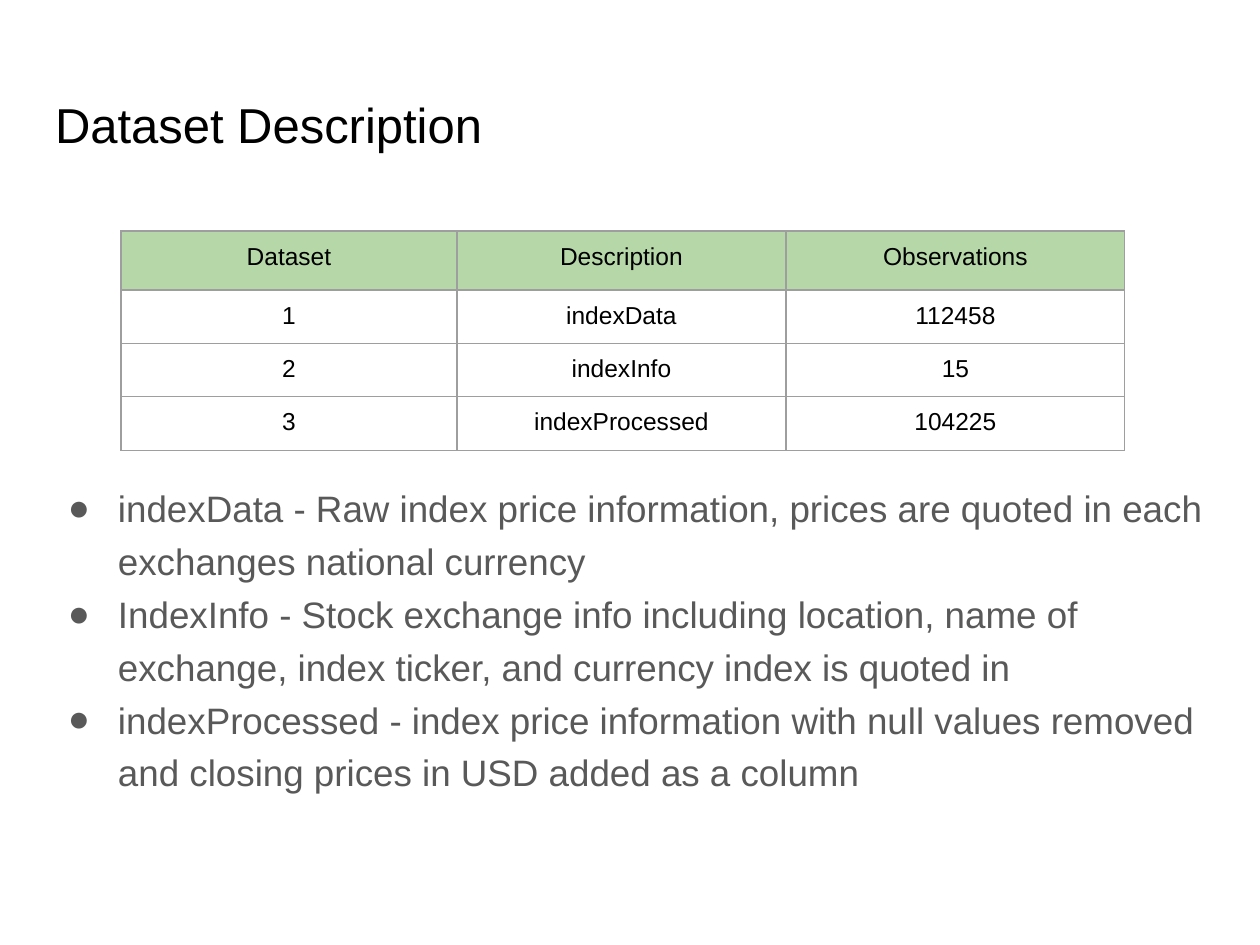
from lxml.etree import SubElement
from pptx import Presentation
from pptx.dml.color import RGBColor
from pptx.enum.text import MSO_ANCHOR, PP_ALIGN
from pptx.oxml.ns import qn
from pptx.util import Pt

TITLE = "Dataset Description"
ROWS = [
    ("Dataset", "Description", "Observations"),
    ("1", "indexData", "112458"),
    ("2", "indexInfo", "15"),
    ("3", "indexProcessed", "104225"),
]
BULLETS = [
    "indexData - Raw index price information, prices are quoted in each exchanges national currency",
    "IndexInfo - Stock exchange info including location, name of exchange, index ticker, and currency index is quoted in",
    "indexProcessed - index price information with null values removed and closing prices in USD added as a column",
]
COL_WIDTHS = (336, 329, 339)
ROW_HEIGHTS = (59, 53, 53, 53)
INSET = 12
EMU = 914400 // 126


def px(n):
    return n * 914400 // 126


def color(value):
    return RGBColor.from_string(value)


def write(p, text, size, ink, **fmt):
    r = p.add_run()
    r.text = text
    r.font.color.rgb = color(ink)
    for name, value in {"name": "Arial", "size": Pt(size)}.items():
        setattr(r.font, name, value)
    for name, value in fmt.items():
        setattr(p, name, value)


def pad(obj):
    for side in ("left", "top", "right", "bottom"):
        setattr(obj, "margin_" + side, px(INSET))


def place(sp, *box):
    for name, value in zip(("left", "top", "width", "height"), box):
        setattr(sp, name, px(value))


def add_bullet(p):
    pPr = p._p.get_or_add_pPr()
    pPr.set("marL", str(px(63)))
    pPr.set("indent", str(-px(50)))
    clr = SubElement(pPr, qn("a:buClr"))
    SubElement(clr, qn("a:srgbClr"), val="595959")
    SubElement(pPr, qn("a:buFont"), typeface="Arial")
    SubElement(pPr, qn("a:buChar"), char="●")


def add_borders(cell):
    tcPr = cell._tc.get_or_add_tcPr()
    for i, tag in enumerate(("a:lnL", "a:lnR", "a:lnT", "a:lnB")):
        ln = SubElement(tcPr, qn(tag), w=str(Pt(0.75)))
        fill = SubElement(ln, qn("a:solidFill"))
        SubElement(fill, qn("a:srgbClr"), val="9E9E9E")
        tcPr.insert(i, ln)


prs = Presentation()
prs.slide_width, prs.slide_height = px(1260), px(945)
s = prs.slides.add_slide(prs.slide_layouts[5])

title = s.shapes.title
place(title, 43, 82, 1174, 105)
tf = title.text_frame
pad(tf)
tf.vertical_anchor = MSO_ANCHOR.TOP
write(tf.paragraphs[0], TITLE, 28, "000000", alignment=PP_ALIGN.LEFT)

body = s.shapes.add_textbox(px(43), px(465), px(1174), px(374))
tf = body.text_frame
tf.word_wrap = True
pad(tf)
for i, text in enumerate(BULLETS):
    p = tf.add_paragraph() if i else tf.paragraphs[0]
    write(p, text, 21, "595959", line_spacing=1.2)
    add_bullet(p)

frame = s.shapes.add_table(len(ROWS), len(COL_WIDTHS), px(121), px(231),
                           px(sum(COL_WIDTHS)), px(sum(ROW_HEIGHTS)))
table = frame.table
for col, width in zip(table.columns, COL_WIDTHS):
    col.width = px(width)
for i, (row, height) in enumerate(zip(table.rows, ROW_HEIGHTS)):
    row.height = px(height)
    for cell, text in zip(row.cells, ROWS[i]):
        pad(cell)
        if i:
            cell.fill.background()
        else:
            cell.fill.solid()
            cell.fill.fore_color.rgb = color("B6D7A8")
        write(cell.text_frame.paragraphs[0], text, 14, "000000", alignment=PP_ALIGN.CENTER)
        add_borders(cell)

prs.save("out.pptx")
